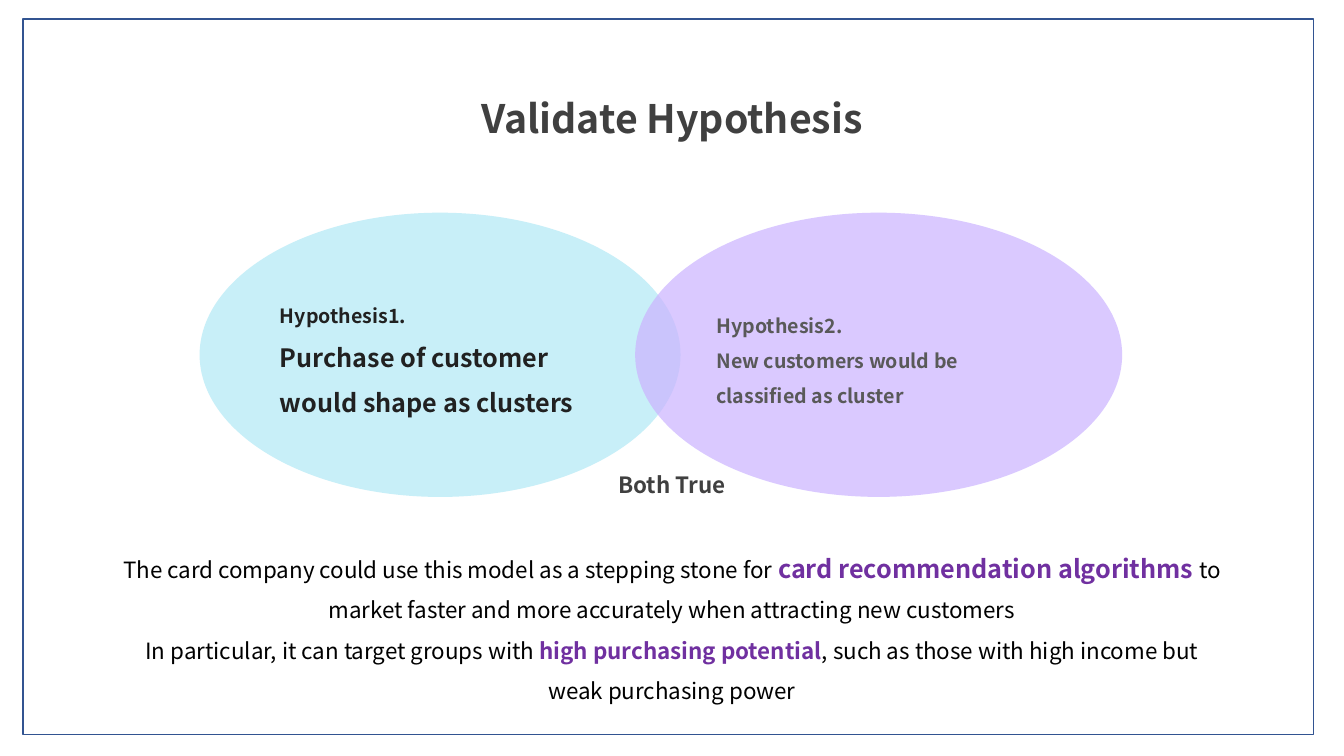
from lxml import etree
from pptx import Presentation
from pptx.dml.color import RGBColor
from pptx.enum import shapes, text
from pptx.oxml.ns import qn
from pptx.util import Inches, Pt

FONT = "Noto Sans CJK KR"
BLACK = RGBColor(0x00, 0x00, 0x00)
CHARCOAL = RGBColor(0x40, 0x40, 0x40)
INK = RGBColor(0x21, 0x21, 0x21)
GREY = RGBColor(0x59, 0x59, 0x59)
PURPLE = RGBColor(0x70, 0x30, 0xA0)
AQUA = RGBColor(0xC8, 0xEF, 0xF8)
LILAC = RGBColor(0xCB, 0xB3, 0xFF)
NAVY = RGBColor(0x32, 0x54, 0x91)

BREAK = None
BODY = dict(size=16, color=BLACK, bold=False)
HEAD = dict(size=16, color=CHARCOAL, bold=True)
CENTER, LEFT = text.PP_ALIGN.CENTER, text.PP_ALIGN.LEFT

TEXTS = [
    ((4.35, 0.65, 4.63, 0.74),
     [[("Validate Hypothesis", dict(HEAD, size=28))]]),
    ((1.08, 4.49, 11.17, 2.54), [
        [("Both True", HEAD)],
        [("The card company could use this model as a stepping stone for ", BODY),
         ("card recommendation algorithms ", dict(size=18, color=PURPLE, bold=True)),
         ("to market faster and more accurately when attracting new customers", BODY),
         BREAK,
         ("In particular, it can target groups with ", BODY),
         ("high purchasing potential", dict(size=16, color=PURPLE, bold=True)),
         (", such as those with high income but weak purchasing power", BODY)],
    ]),
]
ELLIPSES = [
    (1.98, 4.77, AQUA, None, INK, "Hypothesis1.",
     "Purchase of customer would shape as clusters", 18),
    (6.3, 4.83, LILAC, 71, GREY, "Hypothesis2.",
     "New customers would be classified as cluster", 14),
]
ELLIPSE_TOP, ELLIPSE_HEIGHT = 2.11, 2.82
FRAME = (0.23, 0.19, 12.8, 7.1)


def write(tf, paragraphs, align, gap=0):
    tf.word_wrap = True
    for i, runs in enumerate(paragraphs):
        p = tf.paragraphs[0] if i == 0 else tf.add_paragraph()
        p.alignment, p.line_spacing = align, 1.5
        if i and gap:
            p.space_before = Pt(gap)
        for run in runs:
            if run is BREAK:
                p.add_line_break()
                continue
            r = p.add_run()
            r.text, style = run
            r.font.color.rgb = style["color"]
            for key, value in dict(name=FONT, size=Pt(style["size"]), bold=style["bold"]).items():
                setattr(r.font, key, value)


def add_shape(s, kind, box):
    sp = s.shapes.add_shape(kind, *map(Inches, box))
    sp.shadow.inherit = False
    return sp


def main():
    prs = Presentation()
    prs.slide_width, prs.slide_height = Inches(13.33), Inches(7.5)
    s = prs.slides.add_slide(prs.slide_layouts[6])

    for box, paragraphs in TEXTS:
        tf = s.shapes.add_textbox(*map(Inches, box)).text_frame
        write(tf, paragraphs, CENTER, gap=28.5)
        tf.auto_size = text.MSO_AUTO_SIZE.SHAPE_TO_FIT_TEXT

    for left, width, fill, opacity, color, label, claim, size in ELLIPSES:
        sp = add_shape(s, shapes.MSO_SHAPE.OVAL, (left, ELLIPSE_TOP, width, ELLIPSE_HEIGHT))
        sp.fill.solid()
        sp.fill.fore_color.rgb = fill
        sp.line.fill.background()
        if opacity:
            clr = sp.fill._xPr.find(qn("a:solidFill"))[0]
            etree.SubElement(clr, qn("a:alpha")).set("val", str(opacity * 1000))
        sp.text_frame.vertical_anchor = text.MSO_ANCHOR.MIDDLE
        write(sp.text_frame,
              [[(line, dict(size=pt, color=color, bold=True))]
               for line, pt in ((label, 14), (claim, size))], LEFT)

    frame = add_shape(s, shapes.MSO_SHAPE.RECTANGLE, FRAME)
    frame.fill.background()
    frame.line.color.rgb = NAVY
    frame.line.width = Pt(1)

    prs.save("out.pptx")


if __name__ == "__main__":
    main()
